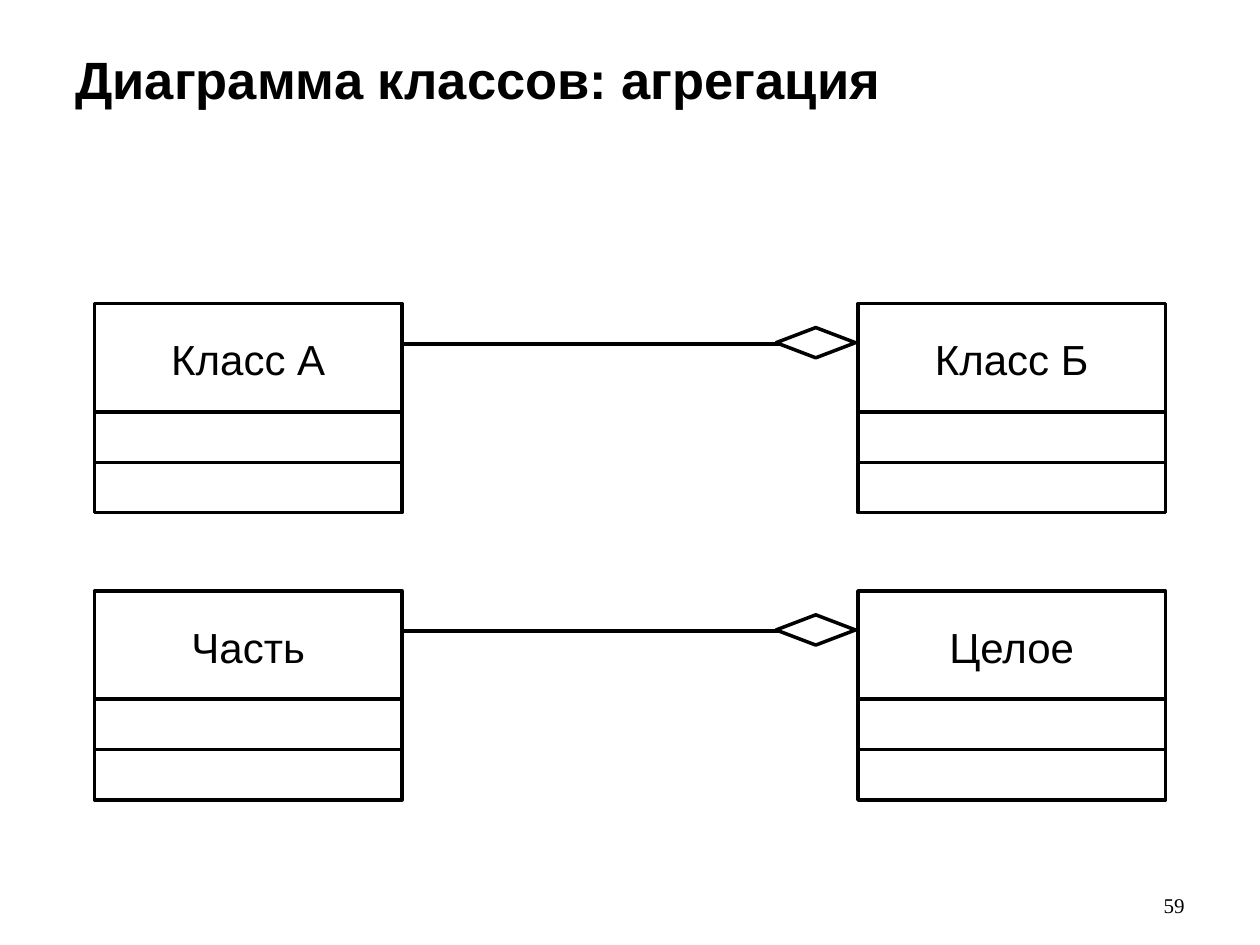
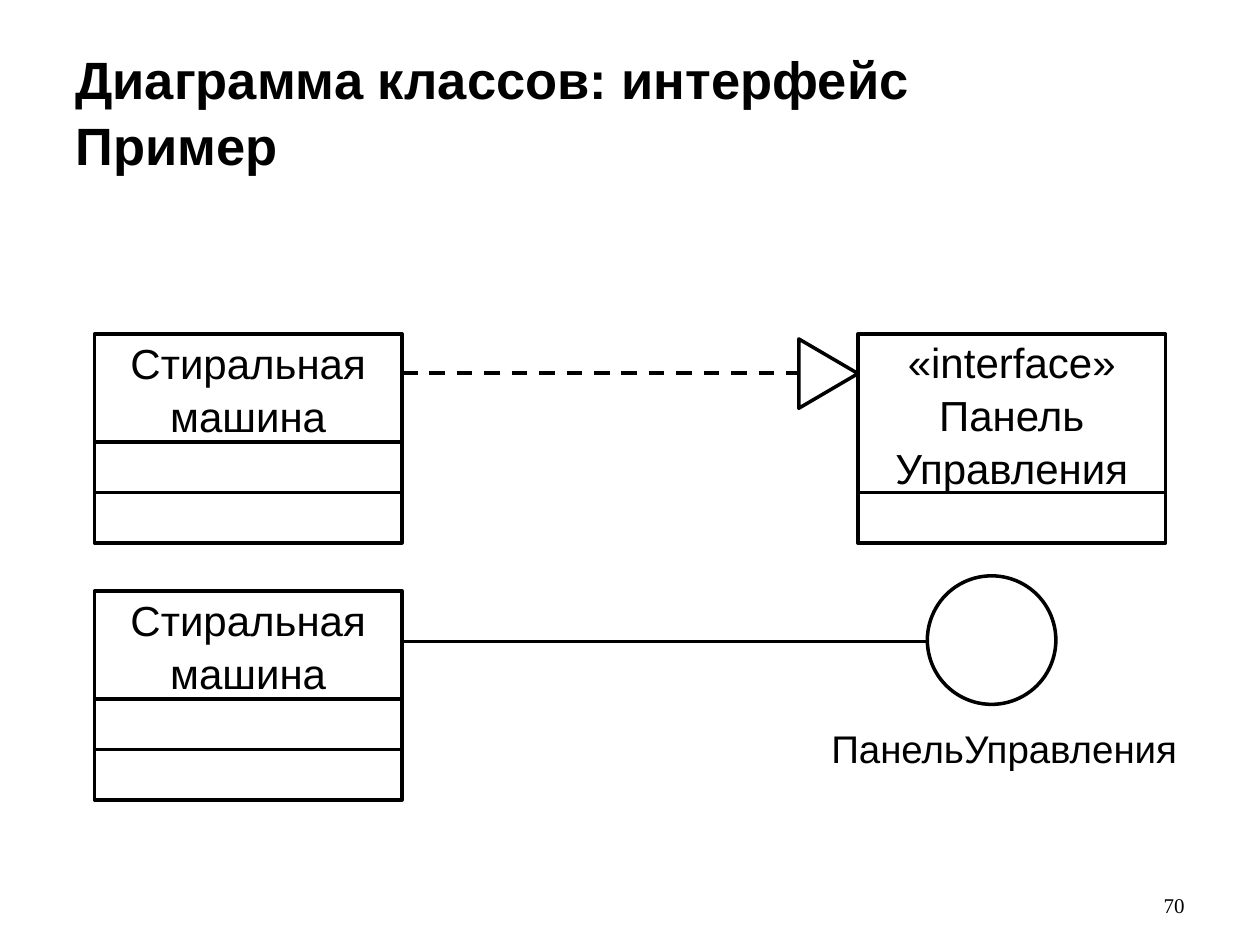
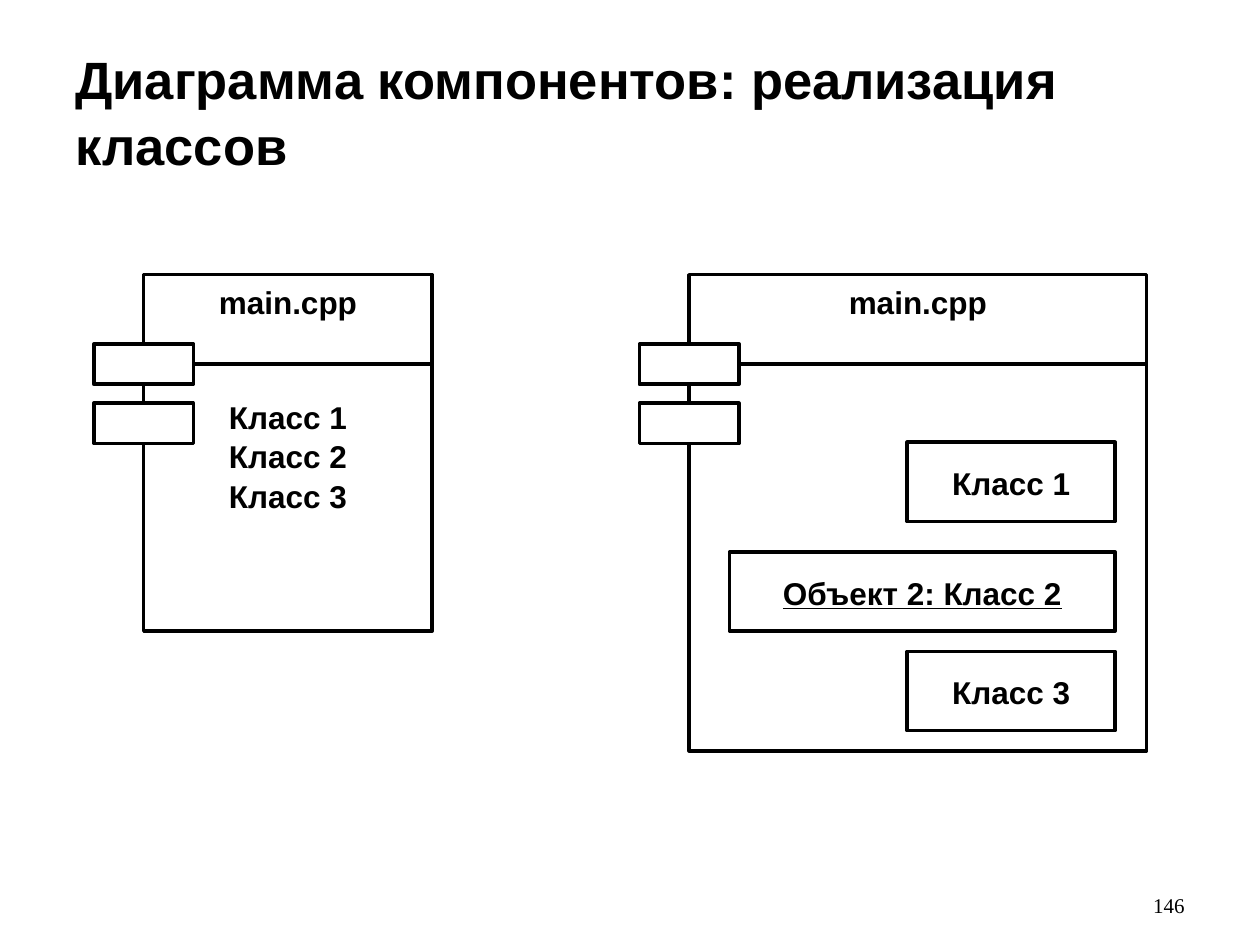
import pptx
import pptx.util
import pptx.dml.color
import pptx.enum.dml
import pptx.enum.shapes
import pptx.enum.text
import pptx.oxml
import pptx.oxml.ns

Inches, Pt = pptx.util.Inches, pptx.util.Pt
Shapes = pptx.enum.shapes.MSO_SHAPE
Align, Anchor = pptx.enum.text.PP_ALIGN, pptx.enum.text.MSO_ANCHOR

# Content
AGGREGATION = {
    "title": ["Диаграмма классов: агрегация"],
    "number": "59",
    "pairs": [("Класс А", "Класс Б"), ("Часть", "Целое")],
}
INTERFACE = {
    "title": ["Диаграмма классов: интерфейс", "Пример"],
    "number": "70",
    "class": ["Стиральная", "машина"],
    "interface": ["«interface»", "Панель", "Управления"],
    "label": ["ПанельУправления"],
}
COMPONENTS = {
    "title": ["Диаграмма компонентов: реализация классов"],
    "number": "146",
    "file": "main.cpp",
    "classes": ["Класс 1", "Класс 2", "Класс 3"],
    # text, left, top, width, underline
    "parts": [
        ("Класс 1", 7.2, 3.51, 1.65, False),
        ("Объект 2: Класс 2", 5.79, 4.38, 3.06, True),
        ("Класс 3", 7.2, 5.17, 1.65, False),
    ],
}


# Theme
class Theme:
    ink = pptx.dml.color.RGBColor(0, 0, 0)
    paper = pptx.dml.color.RGBColor(255, 255, 255)
    outline, association = 2, 2.25
    line_spacing = 1.05
    title = {"name": "Arial", "size": Pt(30), "bold": True}
    class_name = {"name": "Arial", "size": Pt(24)}
    label = {"name": "Arial", "size": Pt(22)}
    component = {"name": "Arial", "size": Pt(18), "bold": True}
    number = {"name": "Times New Roman", "size": Pt(12)}


# Grid in inches
SLIDE_WIDTH, SLIDE_HEIGHT = 10, 7.5
LEFT_CLASS, RIGHT_CLASS = 0.75, 6.81
CLASS_WIDTH, CLASS_HEIGHT, COMPARTMENT = 2.44, 1.66, 0.4
CLASS_RIGHT = LEFT_CLASS + CLASS_WIDTH
LOWER_ROW = 4.69
LUG_WIDTH, LUG_HEIGHT, LUG_STEP = 0.79, 0.32, 0.47
COMPONENT_TOP = 2.18


def write(shape, lines, style, align=Align.CENTER, anchor=Anchor.MIDDLE, wrap=False):
    frame = shape.text_frame
    frame.word_wrap = wrap
    frame.vertical_anchor = anchor
    for index, line in enumerate(lines):
        paragraph = frame.paragraphs[0] if index == 0 else frame.add_paragraph()
        paragraph.text = line
        paragraph.alignment = align
        paragraph.line_spacing = Theme.line_spacing
        set_font(paragraph.font, style)
        for run in paragraph.runs:
            set_font(run.font, style)
    return frame


def set_font(font, style):
    for name, value in style.items():
        setattr(font, name, value)
    font.color.rgb = Theme.ink


def add_text(slide, box, lines, style, **options):
    shape = slide.shapes.add_textbox(*map(Inches, box))
    return write(shape, lines, style, **options)


def add_outline(slide, box, kind=Shapes.RECTANGLE, filled=False):
    shape = slide.shapes.add_shape(kind, *map(Inches, box))
    shape.shadow.inherit = False
    if filled:
        shape.fill.solid()
        shape.fill.fore_color.rgb = Theme.paper
    else:
        shape.fill.background()
    shape.line.color.rgb = Theme.ink
    shape.line.width = Pt(Theme.outline)
    return shape


def add_line(slide, left, right, height, weight=Theme.outline, dash=None):
    connector = slide.shapes.add_connector(
        pptx.enum.shapes.MSO_CONNECTOR.STRAIGHT,
        *map(Inches, (left, height, right, height)))
    properties = connector.element.find(pptx.oxml.ns.qn("p:spPr"))
    connector.line.color.rgb = Theme.ink
    connector.line.width = Pt(weight)
    if dash:
        connector.line.dash_style = dash
    properties.append(pptx.oxml.parse_xml(
        "<a:effectLst %s/>" % pptx.oxml.ns.nsdecls("a")))
    return connector


def add_base(presentation, content):
    slide = presentation.slides.add_slide(presentation.slide_layouts[6])
    add_text(slide, (8.94, 6.83, 0.56, 0.5), [content["number"]], Theme.number,
             align=Align.RIGHT, anchor=Anchor.BOTTOM, wrap=True)
    first, *others = content["title"]
    frame = add_text(slide, (0.5, 0.3, 9, 1.25), [first], Theme.title,
                     align=Align.LEFT, anchor=Anchor.TOP, wrap=True)
    paragraph = frame.paragraphs[0]
    for line in others:
        paragraph.add_line_break()
        run = paragraph.add_run()
        run.text = line
        set_font(run.font, Theme.title)
    return slide


def add_class(slide, left, top, lines, compartments=2):
    header = CLASS_HEIGHT - compartments * COMPARTMENT
    write(add_outline(slide, (left, top, CLASS_WIDTH, header)), lines, Theme.class_name)
    for index in range(compartments):
        add_outline(slide, (left, top + header + index * COMPARTMENT,
                            CLASS_WIDTH, COMPARTMENT))


def add_component(slide, left, width, height, lines):
    body = add_outline(slide, (left, COMPONENT_TOP, width, height))
    frame = write(body, lines, Theme.component, anchor=Anchor.TOP)
    lugs = [add_outline(slide, (left - LUG_WIDTH / 2, 2.73 + index * LUG_STEP,
                                LUG_WIDTH, LUG_HEIGHT), filled=True)
            for index in range(2)]
    divider = add_line(slide, left + LUG_WIDTH / 2, left + width, 2.89)
    divider.begin_connect(lugs[0], 3)
    return frame


def build_aggregation(presentation):
    slide = add_base(presentation, AGGREGATION)
    for top, (part, whole) in zip((2.41, LOWER_ROW), AGGREGATION["pairs"]):
        add_line(slide, CLASS_RIGHT, 6.18, top + 0.32, Theme.association)
        add_class(slide, LEFT_CLASS, top, [part])
        add_class(slide, RIGHT_CLASS, top, [whole])
        add_outline(slide, (6.16, top + 0.19, 0.63, 0.24), Shapes.DIAMOND)


def build_interface(presentation):
    slide = add_base(presentation, INTERFACE)
    top = 2.65
    # Realization arrow
    add_line(slide, CLASS_RIGHT, 6.34, 2.96, Theme.association,
             pptx.enum.dml.MSO_LINE.DASH)
    add_class(slide, LEFT_CLASS, top, INTERFACE["class"])
    add_class(slide, RIGHT_CLASS, top, INTERFACE["interface"], compartments=1)
    arrow = add_outline(slide, (6.3, 2.73, 0.55, 0.47), Shapes.ISOSCELES_TRIANGLE)
    arrow.rotation = 90
    # Short notation with a circle
    add_class(slide, LEFT_CLASS, LOWER_ROW, INTERFACE["class"])
    add_outline(slide, (7.36, 4.57, 1.02, 1.02), Shapes.OVAL)
    frame = add_text(slide, (6.5, 5.69, 2.97, 0.47), INTERFACE["label"], Theme.label,
                     align=Align.LEFT, anchor=Anchor.TOP)
    frame.auto_size = pptx.enum.text.MSO_AUTO_SIZE.SHAPE_TO_FIT_TEXT
    add_line(slide, CLASS_RIGHT, 7.36, 5.09)


def build_components(presentation):
    slide = add_base(presentation, COMPONENTS)
    # Classes as a list
    frame = add_component(slide, 1.14, 2.29, 2.83,
                          [COMPONENTS["file"], *COMPONENTS["classes"]])
    frame.paragraphs[1].space_before = Pt(43)
    # Classes as nested boxes
    add_component(slide, 5.47, 3.63, 3.78, [COMPONENTS["file"]])
    for text, left, top, width, underline in COMPONENTS["parts"]:
        write(add_outline(slide, (left, top, width, 0.63)), [text],
              {**Theme.component, "underline": underline})


def main():
    presentation = pptx.Presentation()
    presentation.slide_width = Inches(SLIDE_WIDTH)
    presentation.slide_height = Inches(SLIDE_HEIGHT)
    build_aggregation(presentation)
    build_interface(presentation)
    build_components(presentation)
    presentation.save("out.pptx")


if __name__ == "__main__":
    main()
